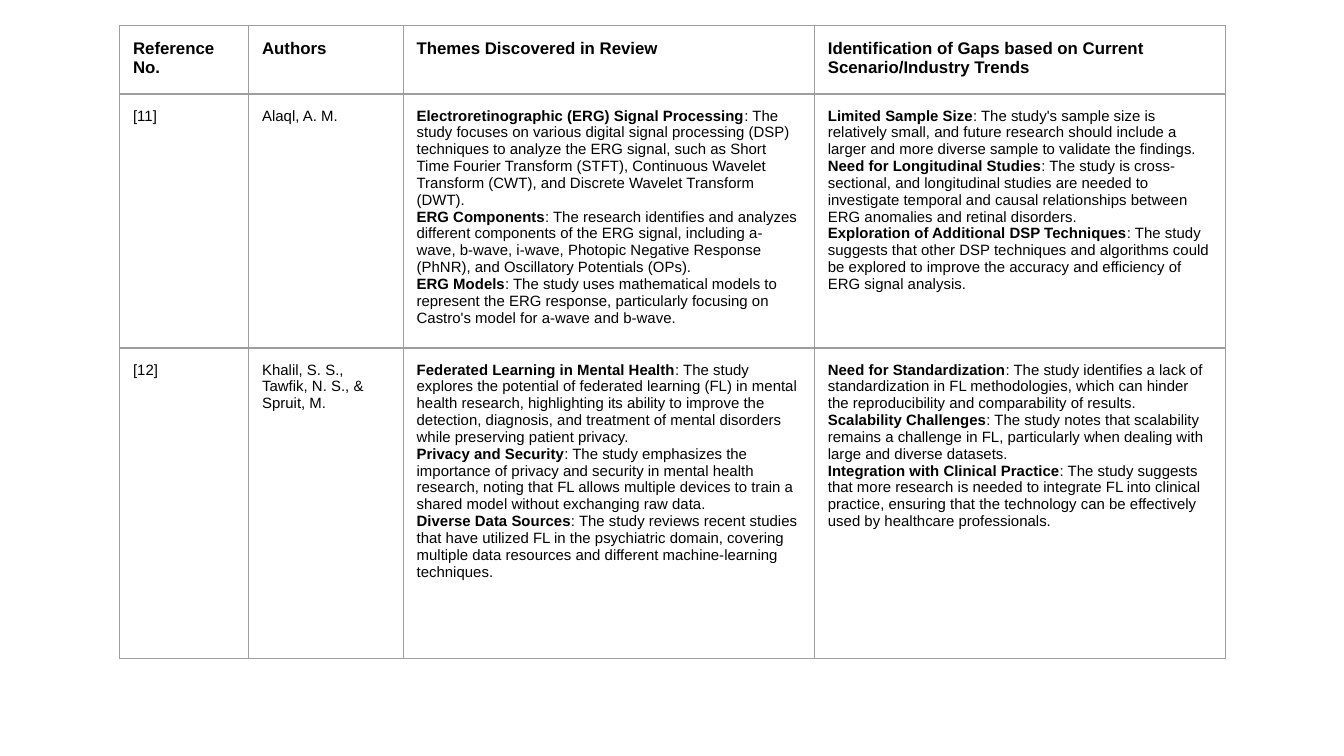
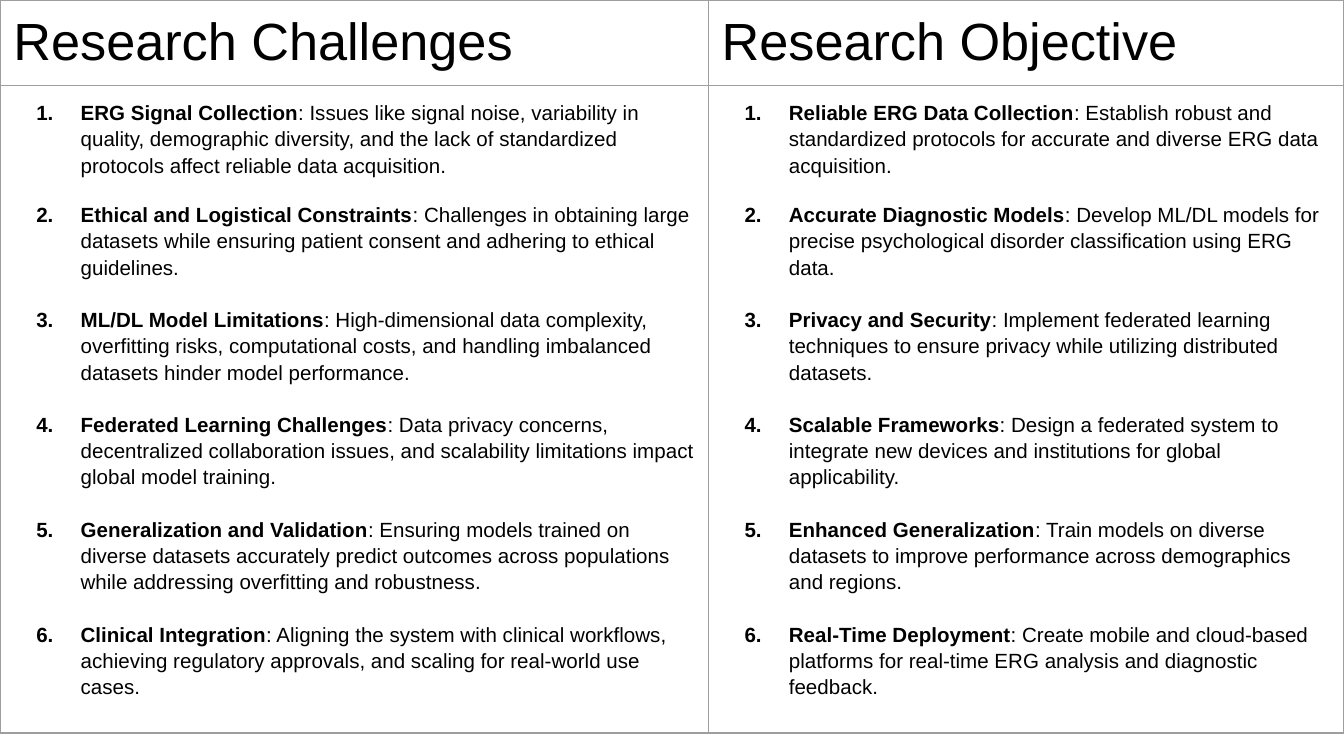
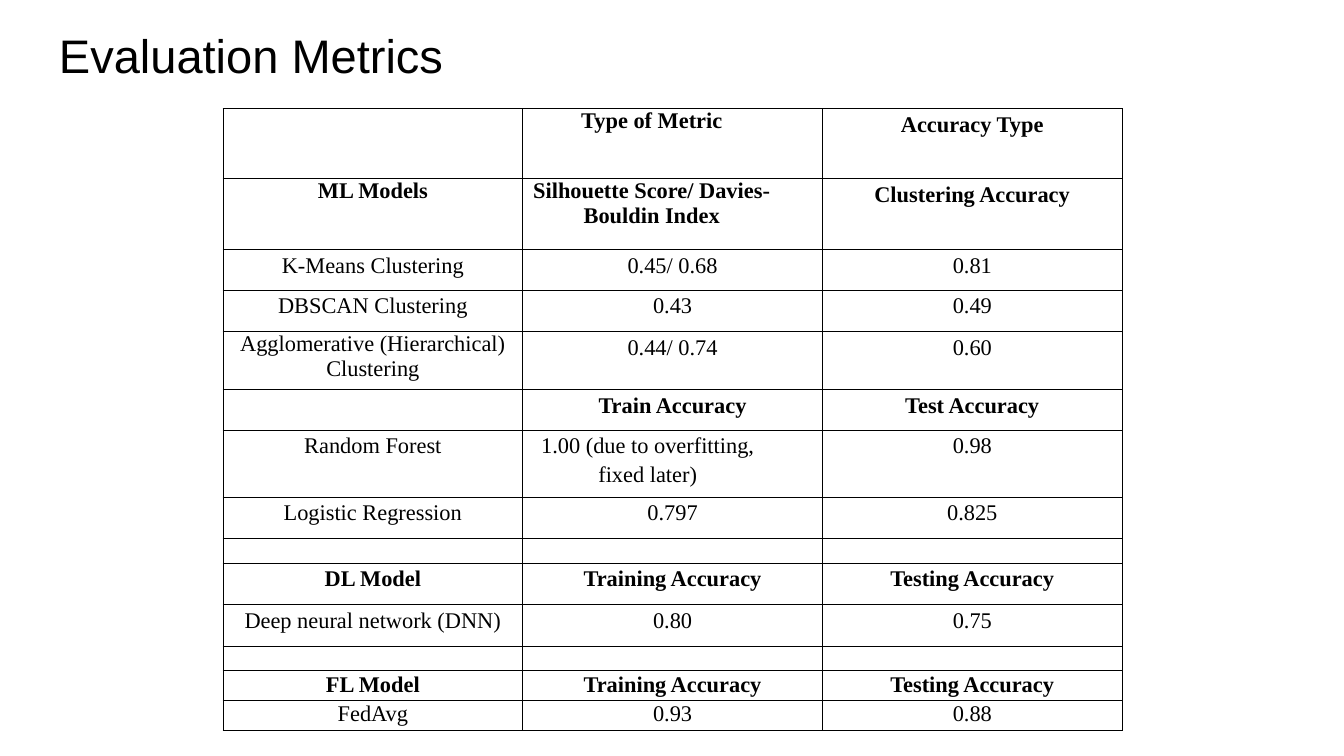
from lxml import etree
from pptx import Presentation
from pptx.dml.color import RGBColor
from pptx.enum import text
from pptx.oxml import ns
from pptx.util import Inches, Pt

BLACK, GREY = "000000", "9E9E9E"
SANS, SERIF = "Arial", "Times New Roman"

REVIEW_HEADS = ["Reference No.", "Authors", "Themes Discovered in Review",
                "Identification of Gaps based on Current Scenario/Industry Trends"]
REVIEWS = [
    ("[11]", "Alaql, A. M.", [
        "Electroretinographic (ERG) Signal Processing: The study focuses on various digital signal "
        "processing (DSP) techniques to analyze the ERG signal, such as Short Time Fourier Transform "
        "(STFT), Continuous Wavelet Transform (CWT), and Discrete Wavelet Transform (DWT).",
        "ERG Components: The research identifies and analyzes different components of the ERG signal, "
        "including a-wave, b-wave, i-wave, Photopic Negative Response (PhNR), and Oscillatory "
        "Potentials (OPs).",
        "ERG Models: The study uses mathematical models to represent the ERG response, particularly "
        "focusing on Castro's model for a-wave and b-wave.",
    ], [
        "Limited Sample Size: The study's sample size is relatively small, and future research should "
        "include a larger and more diverse sample to validate the findings.",
        "Need for Longitudinal Studies: The study is cross-sectional, and longitudinal studies are "
        "needed to investigate temporal and causal relationships between ERG anomalies and retinal "
        "disorders.",
        "Exploration of Additional DSP Techniques: The study suggests that other DSP techniques and "
        "algorithms could be explored to improve the accuracy and efficiency of ERG signal analysis.",
    ]),
    ("[12]", "Khalil, S. S., Tawfik, N. S., & Spruit, M.", [
        "Federated Learning in Mental Health: The study explores the potential of federated learning "
        "(FL) in mental health research, highlighting its ability to improve the detection, diagnosis, "
        "and treatment of mental disorders while preserving patient privacy.",
        "Privacy and Security: The study emphasizes the importance of privacy and security in mental "
        "health research, noting that FL allows multiple devices to train a shared model without "
        "exchanging raw data.",
        "Diverse Data Sources: The study reviews recent studies that have utilized FL in the "
        "psychiatric domain, covering multiple data resources and different machine-learning "
        "techniques.",
    ], [
        "Need for Standardization: The study identifies a lack of standardization in FL methodologies, "
        "which can hinder the reproducibility and comparability of results.",
        "Scalability Challenges: The study notes that scalability remains a challenge in FL, "
        "particularly when dealing with large and diverse datasets.",
        "Integration with Clinical Practice: The study suggests that more research is needed to "
        "integrate FL into clinical practice, ensuring that the technology can be effectively used by "
        "healthcare professionals.",
    ]),
]

GOALS = {
    "Research Challenges": [
        "ERG Signal Collection: Issues like signal noise, variability in quality, demographic "
        "diversity, and the lack of standardized protocols affect reliable data acquisition.",
        "Ethical and Logistical Constraints: Challenges in obtaining large datasets while ensuring "
        "patient consent and adhering to ethical guidelines.",
        "ML/DL Model Limitations: High-dimensional data complexity, overfitting risks, computational "
        "costs, and handling imbalanced datasets hinder model performance.",
        "Federated Learning Challenges: Data privacy concerns, decentralized collaboration issues, "
        "and scalability limitations impact global model training.",
        "Generalization and Validation: Ensuring models trained on diverse datasets accurately "
        "predict outcomes across populations while addressing overfitting and robustness.",
        "Clinical Integration: Aligning the system with clinical workflows, achieving regulatory "
        "approvals, and scaling for real-world use cases.",
    ],
    "Research Objective": [
        "Reliable ERG Data Collection: Establish robust and standardized protocols for accurate and "
        "diverse ERG data acquisition.",
        "Accurate Diagnostic Models: Develop ML/DL models for precise psychological disorder "
        "classification using ERG data.",
        "Privacy and Security: Implement federated learning techniques to ensure privacy while "
        "utilizing distributed datasets.",
        "Scalable Frameworks: Design a federated system to integrate new devices and institutions "
        "for global applicability.",
        "Enhanced Generalization: Train models on diverse datasets to improve performance across "
        "demographics and regions.",
        "Real-Time Deployment: Create mobile and cloud-based platforms for real-time ERG analysis "
        "and diagnostic feedback.",
    ],
}

# Row height, bold, line spacing, three cell texts
METRICS = [
    (0.52, True, 1.15, ("", "Type of Metric", "Accuracy Type")),
    (0.53, True, 1.15, ("ML Models", "Silhouette Score/ Davies-Bouldin Index",
                        "Clustering Accuracy")),
    (0.3, False, 1.15, ("K-Means Clustering", "0.45/ 0.68", "0.81")),
    (0.31, False, 1.15, ("DBSCAN Clustering", "0.43", "0.49")),
    (0.43, False, 1.15, ("Agglomerative (Hierarchical) Clustering", "0.44/ 0.74", "0.60")),
    (0.3, True, 1.15, ("", "Train Accuracy", "Test Accuracy")),
    (0.5, False, 1.15, ("Random Forest", "1.00 (due to overfitting, fixed later)", "0.98")),
    (0.31, False, 1.15, ("Logistic Regression", "0.797", "0.825")),
    (0.18, False, 1.15, ("", "", "")),
    (0.31, True, 1.15, ("DL Model", "Training Accuracy", "Testing Accuracy")),
    (0.31, False, 1.15, ("Deep neural network (DNN)", "0.80", "0.75")),
    (0.18, False, 1.15, ("", "", "")),
    (0.22, True, 1.07, ("FL Model", "Training Accuracy", "Testing Accuracy")),
    (0.23, False, 1.07, ("FedAvg", "0.93", "0.88")),
]
SINGLE_SPACED = {"Type of Metric", "ML Models", "Silhouette Score/ Davies-Bouldin Index",
                 "Agglomerative (Hierarchical) Clustering"}
RIGHT_INSETS = {"Type of Metric": 0.31, "Silhouette Score/ Davies-Bouldin Index": 0.31,
                "1.00 (due to overfitting, fixed later)": 0.37}


def rgb(value):
    return RGBColor.from_string(value)


def style_run(r, size, bold=False, font=SANS):
    r.font.size, r.font.name, r.font.bold = Pt(size), font, bold
    r.font.color.rgb = rgb(BLACK)


def write(p, words, size, bold=False, font=SANS):
    p.text = words
    for r in p.runs:
        style_run(r, size, bold, font)


def write_topic(p, topic, size):
    """Bold heading up to the colon, regular text after it."""
    head, colon, body = topic.partition(":")
    for words, bold in ((head, True), (colon + body, False)):
        r = p.add_run()
        r.text = words
        style_run(r, size, bold)


def write_topics(tf, topics, size, numbered=False):
    for i, topic in enumerate(topics):
        p = tf.paragraphs[0] if i == 0 else tf.add_paragraph()
        if numbered:
            number(p)
            p.line_spacing = 1.15
            if i:
                p.space_before = Pt(12.5 if i == 1 else 14)
        write_topic(p, topic, size)


def number(p):
    pPr = p._p.get_or_add_pPr()
    pPr.set("marL", str(Inches(0.5)))
    pPr.set("indent", str(Inches(-0.33)))
    clr = etree.SubElement(pPr, ns.qn("a:buClr"))
    etree.SubElement(clr, ns.qn("a:srgbClr"), val=BLACK)
    etree.SubElement(pPr, ns.qn("a:buFont"), typeface=SANS)
    etree.SubElement(pPr, ns.qn("a:buAutoNum"), type="arabicPeriod")


def set_borders(cell, colour, width):
    tcPr = cell._tc.get_or_add_tcPr()
    for side in ("lnL", "lnR", "lnT", "lnB"):
        ln = etree.SubElement(tcPr, ns.qn("a:" + side), w=str(Pt(width)))
        fill = etree.SubElement(ln, ns.qn("a:solidFill"))
        etree.SubElement(fill, ns.qn("a:srgbClr"), val=colour)


def add_grid(slide, left, top, cols, rows, colour, width, inset):
    """Plain ruled table with the given column widths and row heights."""
    frame = slide.shapes.add_table(len(rows), len(cols), Inches(left), Inches(top),
                                   Inches(sum(cols)), Inches(sum(rows)))
    table = frame.table
    table.first_row = table.horz_banding = False
    for col, w in zip(table.columns, cols):
        col.width = Inches(w)
    for row, h in zip(table.rows, rows):
        row.height = Inches(h)
    for cell in table.iter_cells():
        cell.margin_left = cell.margin_right = Inches(inset)
        cell.margin_top = cell.margin_bottom = Inches(inset)
        set_borders(cell, colour, width)
        cell.fill.background()
    return table


def review_slide(slide):
    table = add_grid(slide, 0.89, 0.19, [0.96, 1.15, 3.06, 3.06], [0.51, 1.89, 2.31],
                     GREY, 0.75, 0.1)
    for c, head in enumerate(REVIEW_HEADS):
        write(table.cell(0, c).text_frame.paragraphs[0], head, 9, bold=True)
    for i, (ref, authors, themes, gaps) in enumerate(REVIEWS, 1):
        for c, words in enumerate((ref, authors)):
            write(table.cell(i, c).text_frame.paragraphs[0], words, 8)
        for c, topics in enumerate((themes, gaps), 2):
            write_topics(table.cell(i, c).text_frame, topics, 8)


def goals_slide(slide):
    table = add_grid(slide, 0, 0, [5.27, 4.73], [0.57, 4.82], GREY, 0.75, 0.1)
    for c, (head, topics) in enumerate(GOALS.items()):
        write(table.cell(0, c).text_frame.paragraphs[0], head, 28)
        write_topics(table.cell(1, c).text_frame, topics, 11, numbered=True)


def add_title(slide, words):
    tf = slide.shapes.add_textbox(Inches(0.34), Inches(0.1), Inches(9.32), Inches(0.63)).text_frame
    tf.word_wrap = True
    tf.margin_left = tf.margin_right = tf.margin_top = tf.margin_bottom = Inches(0.1)
    tf.vertical_anchor = text.MSO_ANCHOR.TOP
    write(tf.paragraphs[0], words, 25.2)


def metrics_slide(slide):
    table = add_grid(slide, 1.66, 0.81, [2.23] * 3, [row[0] for row in METRICS], BLACK, 0.5, 0)
    for i, (_, bold, spacing, texts) in enumerate(METRICS):
        for c, words in enumerate(texts):
            cell = table.cell(i, c)
            p = cell.text_frame.paragraphs[0]
            if not words:
                # Small end mark keeps the empty rows low
                p._p.get_or_add_endParaRPr().set("sz", "800")
                continue
            p.alignment = text.PP_ALIGN.CENTER
            p.line_spacing = 1.0 if words in SINGLE_SPACED else spacing
            write(p, words, 12, bold, SERIF)
            cell.margin_right = Inches(RIGHT_INSETS.get(words, 0))
    add_title(slide, "Evaluation Metrics")


def main():
    prs = Presentation()
    # Widescreen, 16:9
    prs.slide_width = Inches(10)
    prs.slide_height = prs.slide_width * 9 // 16
    for build in (review_slide, goals_slide, metrics_slide):
        build(prs.slides.add_slide(prs.slide_layouts[6]))
    prs.save("out.pptx")


if __name__ == "__main__":
    main()
